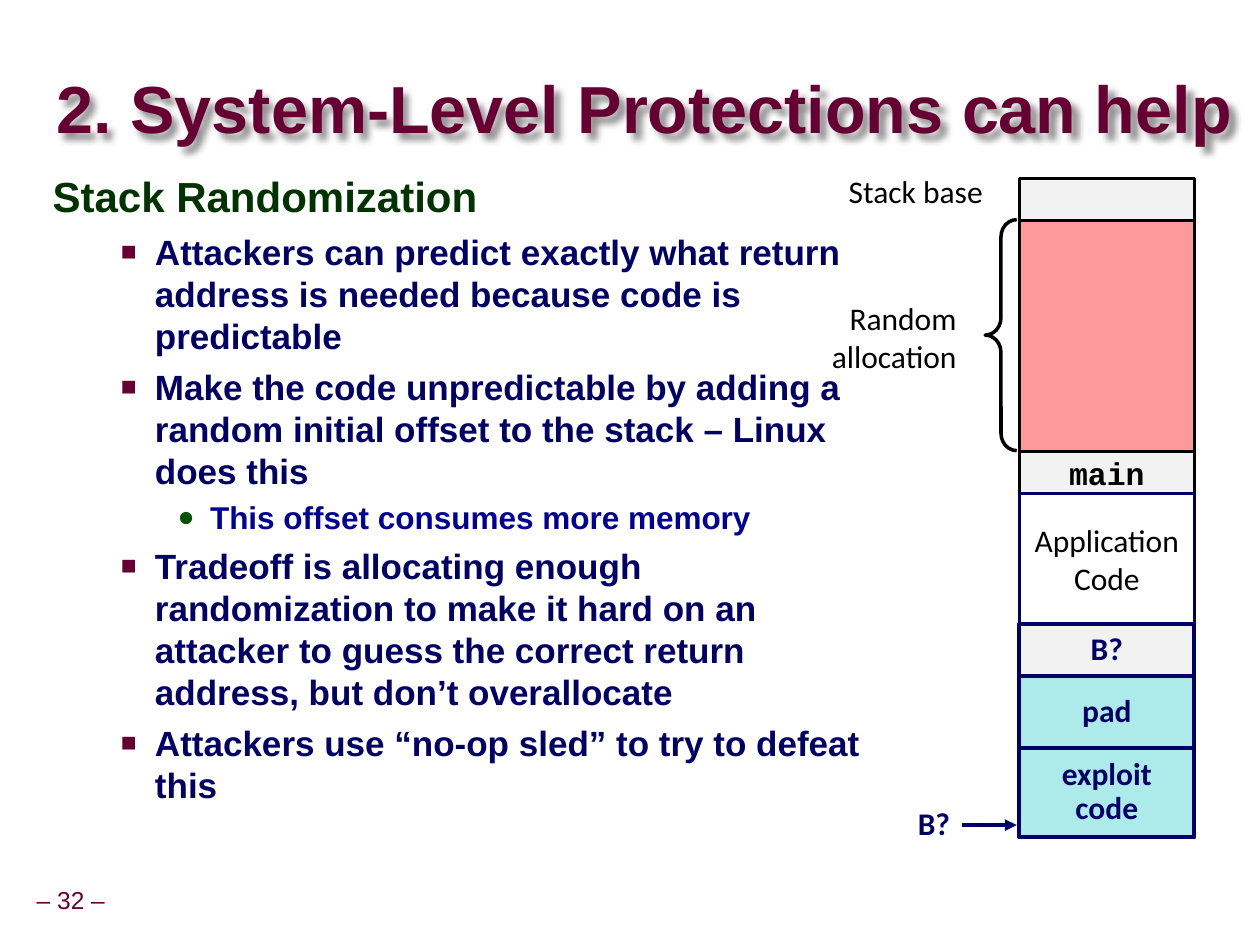
from dataclasses import dataclass
from typing import Optional

import pptx
import pptx.dml.color
import pptx.enum.shapes
import pptx.enum.text
import pptx.oxml
import pptx.oxml.ns
import pptx.util
from lxml import etree

Pt = pptx.util.Pt
Align = pptx.enum.text.PP_ALIGN
Anchor = pptx.enum.text.MSO_ANCHOR
Shape = pptx.enum.shapes.MSO_SHAPE
qn = pptx.oxml.ns.qn

COLORS = {
    "maroon": "660033", "forest": "003300", "green": "005400",
    "navy": "000066", "blue": "000099", "black": "000000",
    "white": "FFFFFF", "gray": "F2F2F2", "pink": "FF9999", "aqua": "ADEBEB",
}


@dataclass
class Block:
    lines: tuple
    height: float
    fill: str
    line: str = "black"
    weight: float = 2
    font: str = "Calibri"
    bold: bool = False
    spacing: float = 1


@dataclass
class Level:
    size: float
    color: str
    left: float
    hanging: float
    spacing: float
    before: float
    bullet: Optional[str] = None
    bullet_color: str = "maroon"
    bullet_percent: int = 100


@dataclass
class Label:
    lines: tuple
    left: float
    top: float
    width: float
    height: float


BLOCKS = [
    Block((), 24, "gray"),
    Block((), 132, "pink"),
    Block(("main",), 24, "gray", font="Courier New", bold=True),
    Block(("Application", "Code"), 74.5, "white", "navy"),
    Block(("B?",), 30, "gray", "navy", 2.25, bold=True, spacing=0.9),
    Block(("pad",), 41, "aqua", "navy", 2.25, bold=True, spacing=0.9),
    Block(("exploit", "code"), 51, "aqua", "navy", 2.25, bold=True, spacing=0.9),
]
LEVELS = [
    Level(24, "forest", 30, 30, 0.95, 0),
    Level(20, "navy", 58.5, 19.5, 1, 5, "■", "maroon", 75),
    Level(18, "blue", 90, 18.5, 1.07, 2, "●", "green", 90),
]
BODY = [
    (0, "Stack Randomization"),
    (1, "Attackers can predict exactly what return address is needed because code is predictable"),
    (1, "Make the code unpredictable by adding a random initial offset to the stack – Linux does this"),
    (2, "This offset consumes more memory"),
    (1, "Tradeoff is allocating enough randomization to make it hard on an attacker to guess "
        "the correct return address, but don’t overallocate"),
    (1, "Attackers use “no-op sled” to try to defeat this"),
]
LABELS = [
    Label(("Random", "allocation"), 470.5, 168, 79, 50),
    Label(("Stack base",), 481, 95.6, 83.5, 28),
]
STACK_LEFT, STACK_TOP, STACK_WIDTH = 582.5, 102, 100


def rgb(name: str):
    return pptx.dml.color.RGBColor.from_string(COLORS[name])


def add_box(page, left, top, width, height, inset=(0, 0), anchor=Anchor.TOP, wrap=True):
    box = page.shapes.add_textbox(Pt(left), Pt(top), Pt(width), Pt(height))
    set_frame(box.text_frame, inset, anchor, wrap)
    return box


def set_frame(frame, inset, anchor, wrap) -> None:
    frame.margin_left = frame.margin_right = Pt(inset[0])
    frame.margin_top = frame.margin_bottom = Pt(inset[1])
    frame.vertical_anchor = anchor
    frame.word_wrap = wrap


def add_text(frame, text: str, *, size=18, color="black", font="Calibri", bold=False,
             align=Align.LEFT, spacing=1.0, before=0, level: Optional[Level] = None) -> None:
    para = frame.paragraphs[0]
    if para.runs:
        para = frame.add_paragraph()
    para.alignment = align
    para.line_spacing = float(spacing)
    para.space_before = Pt(before)
    if level:
        set_indent(para, level)
    span = para.add_run()
    span.text = text
    span.font.size = Pt(size)
    span.font.bold = bold
    span.font.color.rgb = rgb(color)
    span.font.name = font


def set_indent(para, level: Level) -> None:
    properties = para._p.get_or_add_pPr()
    properties.set("marL", str(Pt(level.left)))
    properties.set("indent", str(-Pt(level.hanging)))
    if not level.bullet:
        return
    color = etree.SubElement(properties, qn("a:buClr"))
    etree.SubElement(color, qn("a:srgbClr"), val=COLORS[level.bullet_color])
    etree.SubElement(properties, qn("a:buSzPct"), val=str(level.bullet_percent * 1000))
    etree.SubElement(properties, qn("a:buFont"), typeface="Arial")
    etree.SubElement(properties, qn("a:buChar"), char=level.bullet)


def add_shadow(box) -> None:
    effects = etree.SubElement(box._element.spPr, qn("a:effectLst"))
    shadow = etree.SubElement(effects, qn("a:outerShdw"), blurRad=str(Pt(4)),
                              dist=str(Pt(4)), dir="2700000", algn="tl", rotWithShape="0")
    color = etree.SubElement(shadow, qn("a:srgbClr"), val=COLORS["black"])
    etree.SubElement(color, qn("a:alpha"), val="43000")


def add_block(page, block: Block, top: float) -> None:
    shape = page.shapes.add_shape(Shape.RECTANGLE, Pt(STACK_LEFT), Pt(top),
                                  Pt(STACK_WIDTH), Pt(block.height))
    shape.shadow.inherit = False
    shape.fill.solid()
    shape.fill.fore_color.rgb = rgb(block.fill)
    shape.line.color.rgb = rgb(block.line)
    shape.line.width = Pt(block.weight)
    set_frame(shape.text_frame, (0, 0), Anchor.MIDDLE, True)
    for text in block.lines:
        add_text(shape.text_frame, text, font=block.font, bold=block.bold,
                 color="navy" if block.weight > 2 else "black",
                 align=Align.CENTER, spacing=block.spacing)


def add_brace(page, left, top, width, height) -> None:
    brace = page.shapes.add_shape(Shape.LEFT_BRACE, Pt(left), Pt(top), Pt(width), Pt(height))
    brace.shadow.inherit = False
    brace.adjustments[0] = 0.55
    brace.fill.background()
    brace.line.color.rgb = rgb("black")
    brace.line.width = Pt(2)


def add_arrow(page, start_box, end_x, y) -> None:
    arrow = page.shapes.add_connector(pptx.enum.shapes.MSO_CONNECTOR.STRAIGHT,
                                      Pt(550), Pt(y), Pt(end_x), Pt(y))
    arrow.begin_connect(start_box, 3)
    arrow.line.color.rgb = rgb("navy")
    arrow.line.width = Pt(2.25)
    etree.SubElement(arrow.line._get_or_add_ln(), qn("a:tailEnd"), type="triangle")
    etree.SubElement(arrow._element.spPr, qn("a:effectLst"))


def main() -> None:
    deck = pptx.Presentation()
    deck.slide_width, deck.slide_height = Pt(720), Pt(540)
    page = deck.slides.add_slide(deck.slide_layouts[6])

    number = add_box(page, 16.5, 504, 48, 22, (3.6, 3.6), Anchor.MIDDLE, False)
    add_text(number.text_frame, "– 32 –", size=14, color="maroon", font="Arial",
             align=Align.CENTER, spacing=0.9)

    title = add_box(page, 32.4, 34.5, 687.6, 60, anchor=Anchor.MIDDLE)
    add_text(title.text_frame, "2. System-Level Protections can help",
             size=38, color="maroon", font="Arial", bold=True, spacing=0.87)
    add_shadow(title)

    body = add_box(page, 23, 96, 487.5, 411, (7.2, 3.6))
    for depth, text in BODY:
        level = LEVELS[depth]
        add_text(body.text_frame, text, size=level.size, color=level.color, font="Arial",
                 bold=True, spacing=level.spacing, before=level.before, level=level)

    top = STACK_TOP
    for block in BLOCKS:
        add_block(page, block, top)
        top += block.height

    for label in LABELS:
        box = add_box(page, label.left, label.top, label.width, label.height, (2.9, 2.9), wrap=False)
        for text in label.lines:
            add_text(box.text_frame, text, align=Align.RIGHT)

    add_brace(page, 563, STACK_TOP + BLOCKS[0].height - 0.5, 18, BLOCKS[1].height)

    address = add_box(page, 517, 457, 33, 29, (7.2, 3.6), Anchor.MIDDLE, False)
    add_text(address.text_frame, "B?", color="navy", bold=True, align=Align.RIGHT, spacing=0.9)
    add_arrow(page, address, 581, 471.5)

    deck.save("out.pptx")


if __name__ == "__main__":
    main()
